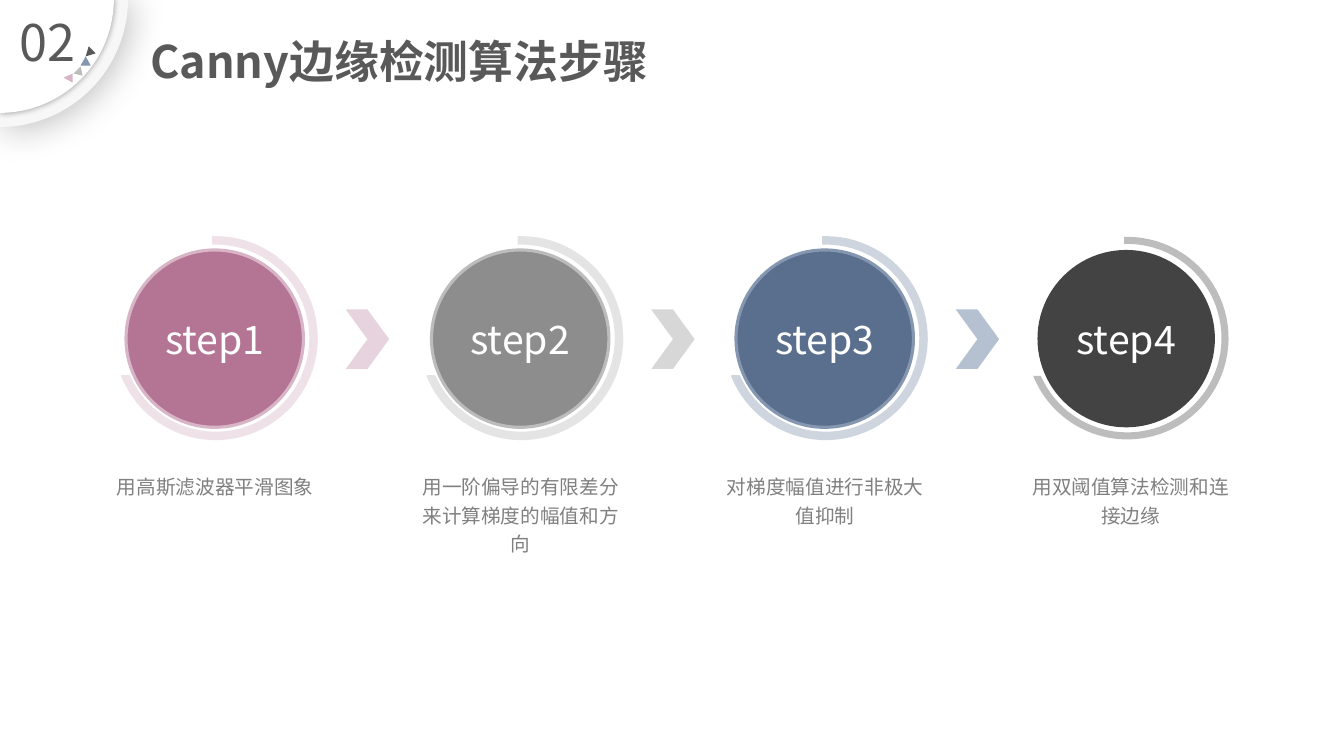
from dataclasses import dataclass
from math import asin, cos, degrees, radians, sin

from lxml import etree
from pptx import Presentation
from pptx.dml.color import RGBColor
from pptx.enum.shapes import MSO_SHAPE
from pptx.enum.text import MSO_ANCHOR, MSO_AUTO_SIZE, PP_ALIGN
from pptx.oxml.ns import qn
from pptx.util import Pt

PX = 9144  # 100 px to the inch
FONT = "Noto Sans CJK SC"
OVAL, CHEVRON = MSO_SHAPE.OVAL, MSO_SHAPE.CHEVRON
LEFT, CENTER = PP_ALIGN.LEFT, PP_ALIGN.CENTER
TOP, MIDDLE, BOTTOM = MSO_ANCHOR.TOP, MSO_ANCHOR.MIDDLE, MSO_ANCHOR.BOTTOM
NO_AUTOFIT = MSO_AUTO_SIZE.NONE
TITLE_ONLY = 5

COLORS = {
    "white": "FFFFFF", "corner": "F7F7F7", "heading": "595959", "body": "808080",
    "rose": "B47595", "rose_edge": "D7B5C6", "rose_ring": "EFE1E8", "rose_arrow": "E7D3DD",
    "grey": "8D8D8D", "grey_edge": "BCBCBC", "grey_ring": "E4E4E4", "grey_arrow": "D7D7D7",
    "blue": "5A6F8D", "blue_edge": "8496B0", "blue_ring": "CED5DF", "blue_arrow": "B5C0D0",
    "dark": "434343", "dark_ring": "BDBDBD",
}

Point = tuple[float, float]


@dataclass
class Step:
    label: str
    description: str
    color: str
    outlined: bool = True
    shift: int = 0


@dataclass
class CornerDisc:
    radius: int
    color: str
    shadow_alpha: int
    shadow_blur: int
    shadow_distance: int


@dataclass
class Triangle:
    color: str
    corners: list[Point]


STEPS = [
    Step("step1", "用高斯滤波器平滑图象", "rose"),
    Step("step2", "用一阶偏导的有限差分来计算梯度的幅值和方向", "grey"),
    Step("step3", "对梯度幅值进行非极大值抑制", "blue"),
    Step("step4", "用双阈值算法检测和连接边缘", "dark", outlined=False, shift=-4),
]
STEP_PITCH = 908 / 3
RING_Y, RING_OUTER, RING_INNER = 335.5, 100.5, 93.5
RING_CUT = 37.5  # depth below the centre where the ring ends

CORNER_DISCS = [
    CornerDisc(127, "corner", 25, 26, 3),
    CornerDisc(113, "white", 40, 5, 0),
]
TRIANGLES = [
    Triangle("heading", [(95, 53), (85, 56), (88, 46)]),
    Triangle("blue_edge", [(90, 65), (80, 65), (85, 56)]),
    Triangle("grey_edge", [(82, 75), (73, 73), (80, 66)]),
    Triangle("rose_edge", [(72, 82), (63, 77), (72, 73)]),
]


def rgb(name: str) -> RGBColor:
    return RGBColor.from_string(COLORS[name])


def paint(shape, fill: str, line: str | None = None, width: float = 1) -> None:
    shape.shadow.inherit = False
    shape.fill.solid()
    shape.fill.fore_color.rgb = rgb(fill)
    if line:
        shape.line.color.rgb = rgb(line)
        shape.line.width = Pt(width)
    else:
        shape.line.fill.background()


def write(shape, text: str, size: int, color: str, align=CENTER, anchor=TOP,
          spacing: float = 1.0, bold: bool = False) -> None:
    frame = shape.text_frame
    frame_format = {"word_wrap": True, "auto_size": NO_AUTOFIT, "vertical_anchor": anchor,
                    "margin_left": 10 * PX, "margin_right": 10 * PX,
                    "margin_top": 5 * PX, "margin_bottom": 5 * PX}
    for name, value in frame_format.items():
        setattr(frame, name, value)
    paragraph = frame.paragraphs[0]
    paragraph.alignment, paragraph.line_spacing = align, spacing
    run = paragraph.add_run()
    run.text = text
    for name, value in {"size": Pt(size), "bold": bold, "name": FONT}.items():
        setattr(run.font, name, value)
    run.font.color.rgb = rgb(color)
    etree.SubElement(run.font._element, qn("a:ea"), typeface=FONT)


def add_label(shapes, left: int, top: int, width: int, height: int, *args, **kwargs) -> None:
    box = shapes.add_textbox(left * PX, top * PX, width * PX, height * PX)
    write(box, *args, **kwargs)


def arc(x: float, y: float, radius: float, start: float, end: float) -> list[Point]:
    """Points on a circle, with angles in degrees running clockwise from the right."""
    count = 60
    angles = [radians(start + (end - start) * i / count) for i in range(count + 1)]
    return [(x + radius * cos(a), y + radius * sin(a)) for a in angles]


def add_outline(shapes, points: list[Point]):
    corners = [(round(x * PX), round(y * PX)) for x, y in points]
    builder = shapes.build_freeform(*corners[0])
    builder.add_line_segments(corners[1:], close=True)
    return builder.convert_to_shape()


def add_corner_disc(shapes, disc: CornerDisc) -> None:
    quarter = add_outline(shapes, [(0, -1), *arc(0, -1, disc.radius, 0, 90)])
    paint(quarter, disc.color)
    effects = quarter._element.spPr.find(qn("a:effectLst"))
    shadow = etree.SubElement(effects, qn("a:outerShdw"), blurRad=str(Pt(disc.shadow_blur)),
                              dist=str(Pt(disc.shadow_distance)), dir="2700000",
                              algn="tl", rotWithShape="0")
    tint = etree.SubElement(shadow, qn("a:srgbClr"), val="000000")
    etree.SubElement(tint, qn("a:alpha"), val=str(disc.shadow_alpha * 1000))


def add_step(shapes, index: int, step: Step) -> None:
    offset = round(index * STEP_PITCH)
    disc_left, center_x = 125 + offset + step.shift, 214 + offset + step.shift
    disc = shapes.add_shape(OVAL, disc_left * PX, 248 * PX, 176 * PX, 176 * PX)
    paint(disc, step.color, f"{step.color}_edge" if step.outlined else None, 2.25)
    write(disc, step.label, 28, "white", anchor=MIDDLE)

    outer_end, inner_end = (180 - degrees(asin(RING_CUT / r)) for r in (RING_OUTER, RING_INNER))
    ring = add_outline(shapes, [
        (center_x - 3, RING_Y - RING_OUTER),
        *arc(center_x, RING_Y, RING_OUTER, -90, outer_end),
        *arc(center_x, RING_Y, RING_INNER, inner_end, -90),
        (center_x - 3, RING_Y - RING_INNER),
    ])
    ring_color = f"{step.color}_ring"
    paint(ring, ring_color, ring_color if step.outlined else None)
    add_label(shapes, 97 + offset, 462, 233, 102, step.description, 14, "body", spacing=1.2)


def add_arrow(shapes, index: int, step: Step) -> None:
    left = 343 + round(index * STEP_PITCH)
    arrow = shapes.add_shape(CHEVRON, left * PX, 307 * PX, 43 * PX, 59 * PX)
    paint(arrow, f"{step.color}_arrow")


def main() -> None:
    deck = Presentation()
    deck.slide_width, deck.slide_height = 1333 * PX, 750 * PX
    slide = deck.slides.add_slide(deck.slide_layouts[TITLE_ONLY])
    shapes = slide.shapes

    for disc in CORNER_DISCS:
        add_corner_disc(shapes, disc)
    for triangle in TRIANGLES:
        paint(add_outline(shapes, triangle.corners), triangle.color)
    add_label(shapes, 4, 6, 87, 71, "02", 36, "heading")

    title = shapes.title
    place = {"left": 139, "top": 41, "width": 618, "height": 52}
    for side, length in place.items():
        setattr(title, side, length * PX)
    write(title, "Canny边缘检测算法步骤", 32, "heading", align=LEFT, anchor=BOTTOM,
          spacing=0.9, bold=True)

    for index, step in enumerate(STEPS):
        add_step(shapes, index, step)
    for index, step in enumerate(STEPS[:-1]):
        add_arrow(shapes, index, step)
    deck.save("out.pptx")


if __name__ == "__main__":
    main()
